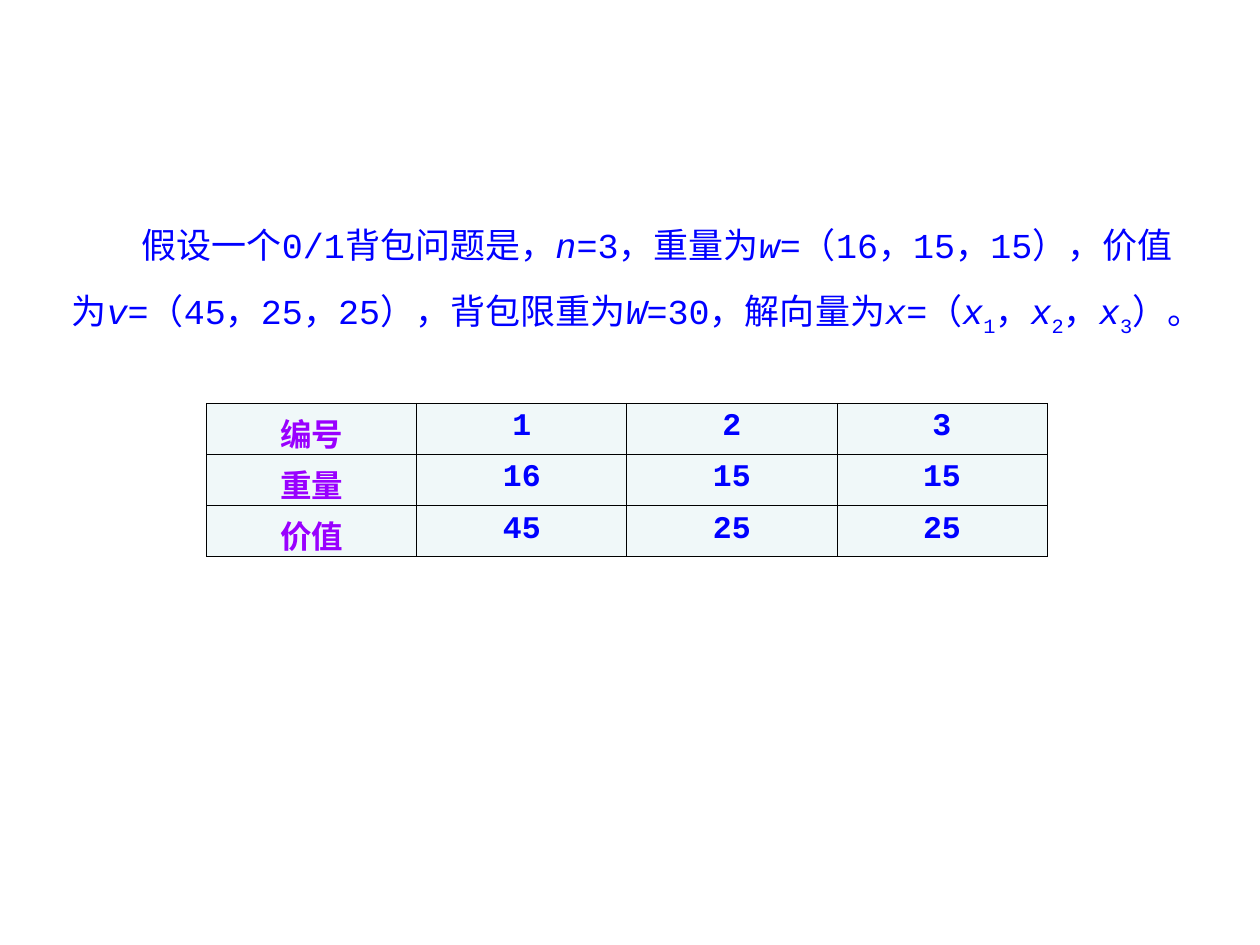
from typing import NamedTuple

from lxml import etree
from pptx import Presentation
from pptx.dml.color import RGBColor
from pptx.enum.text import MSO_AUTO_SIZE, PP_ALIGN
from pptx.oxml.ns import qn
from pptx.util import Inches, Pt

CENTER = PP_ALIGN.CENTER
GROW = MSO_AUTO_SIZE.SHAPE_TO_FIT_TEXT
BLUE = RGBColor(0x00, 0x00, 0xFF)
PURPLE = RGBColor(0x99, 0x00, 0xFF)
PALE = RGBColor(0xF0, 0xF8, 0xF9)
BLACK = RGBColor(0x00, 0x00, 0x00)
FONT = "Courier New"
BORDER_WIDTH = Pt(0.45)


class Piece(NamedTuple):
    text: str
    italic: bool = False
    subscript: bool = False


def variable(name: str) -> Piece:
    return Piece(name, italic=True)


def indexed(index: int) -> list[Piece]:
    return [variable("x"), Piece(str(index), subscript=True)]


PROBLEM = [
    Piece("假设一个0/1背包问题是，"), variable("n"),
    Piece("=3，重量为"), variable("w"),
    Piece("=（16，15，15），价值为"), variable("v"),
    Piece("=（45，25，25），背包限重为"), variable("W"),
    Piece("=30，解向量为"), variable("x"),
    Piece("=（"), *indexed(1),
    Piece("，"), *indexed(2),
    Piece("，"), *indexed(3),
    Piece("）。"),
]

ITEMS = [
    ("编号", "1", "2", "3"),
    ("重量", "16", "15", "15"),
    ("价值", "45", "25", "25"),
]


def style_font(font, size: int, color: RGBColor) -> None:
    font.name = FONT
    font.size = Pt(size)
    font.color.rgb = color


def add_problem(slide, pieces: list[Piece]) -> None:
    box = slide.shapes.add_textbox(Inches(0.47), Inches(1.56), Inches(9.21), Inches(1.67))
    text_frame = box.text_frame
    text_frame.word_wrap = True
    text_frame.auto_size = GROW
    paragraph = text_frame.paragraphs[0]
    paragraph.line_spacing = 1.5
    properties = paragraph._p.get_or_add_pPr()
    properties.set("marL", "0")
    properties.set("indent", str(Pt(40)))
    for piece in pieces:
        run = paragraph.add_run()
        run.text = piece.text
        style_font(run.font, 20, BLUE)
        run.font.italic = piece.italic
        if piece.subscript:
            run.font._element.set("baseline", "-25000")


def add_borders(cell) -> None:
    properties = cell._tc.get_or_add_tcPr()
    for side in ("a:lnL", "a:lnR", "a:lnT", "a:lnB"):
        line = etree.SubElement(properties, qn(side), w=str(BORDER_WIDTH))
        fill = etree.SubElement(line, qn("a:solidFill"))
        etree.SubElement(fill, qn("a:srgbClr"), val=str(BLACK))


def fill_cell(cell, text: str, color: RGBColor) -> None:
    add_borders(cell)
    cell.fill.solid()
    cell.fill.fore_color.rgb = PALE
    cell.text_frame.text = text
    paragraph = cell.text_frame.paragraphs[0]
    paragraph.alignment = CENTER
    font = paragraph.runs[0].font
    style_font(font, 18, color)
    font.bold = True


def add_items(slide, rows: list[tuple[str, ...]]) -> None:
    frame = slide.shapes.add_table(
        len(rows), len(rows[0]), Inches(1.64), Inches(3.2), Inches(6.67), Inches(1.22)
    )
    table = frame.table
    table.first_row = False
    table.horz_banding = False
    for row_index, row in enumerate(rows):
        for column_index, text in enumerate(row):
            color = BLUE if column_index else PURPLE
            fill_cell(table.cell(row_index, column_index), text, color)


def main() -> None:
    presentation = Presentation()
    presentation.slide_width = Inches(10)
    presentation.slide_height = Inches(7.5)
    slide = presentation.slides.add_slide(presentation.slide_layouts[6])
    add_problem(slide, PROBLEM)
    add_items(slide, ITEMS)
    presentation.save("out.pptx")


if __name__ == "__main__":
    main()
